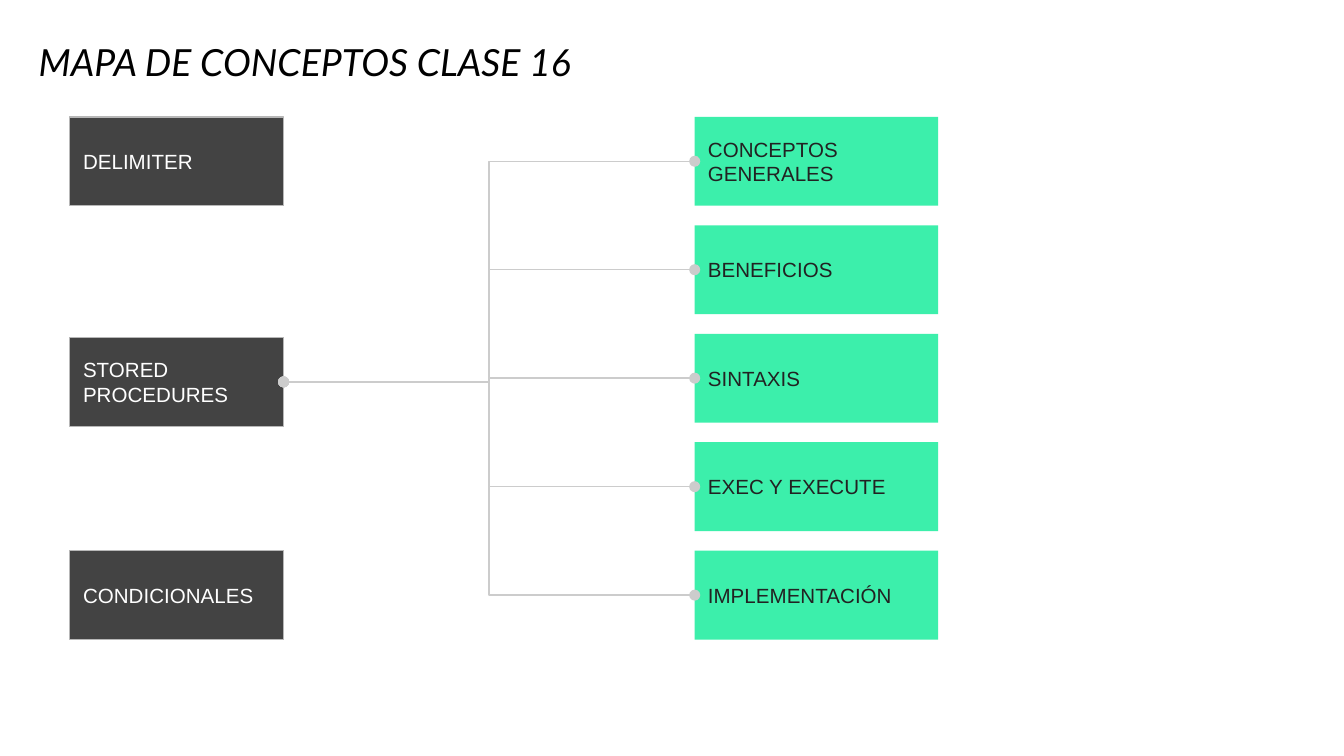
from dataclasses import dataclass
from typing import Any

from lxml import etree
from pptx import Presentation
from pptx import util as u
from pptx.dml.color import RGBColor
from pptx.enum import shapes, text
from pptx.oxml.ns import qn

BLACK = RGBColor(0x00, 0x00, 0x00)
WHITE = RGBColor(0xFF, 0xFF, 0xFF)
CHARCOAL = RGBColor(0x43, 0x43, 0x43)
SILVER = RGBColor(0xB7, 0xB7, 0xB7)
MINT = RGBColor(0x3C, 0xEF, 0xAB)
INK = RGBColor(0x22, 0x22, 0x22)
LINK_GREY = RGBColor(0xCC, 0xCC, 0xCC)

BOX_HEIGHT = 1.68
FIRST_TOP = 2.21
ROW_STEP = 2.05
LEFT_SITE, RIGHT_SITE = 1, 3


@dataclass(frozen=True)
class BoxStyle:
    left: float
    width: float
    fill: RGBColor
    ink: RGBColor
    outline: RGBColor | None = None


@dataclass(frozen=True)
class Concept:
    label: str
    top: float
    style: BoxStyle


TOPIC = BoxStyle(1.32, 4.04, CHARCOAL, WHITE, SILVER)
DETAIL = BoxStyle(13.13, 4.6, MINT, INK)

DELIMITER = Concept("DELIMITER", FIRST_TOP, TOPIC)
PROCEDURES = Concept("STORED PROCEDURES", 6.38, TOPIC)
CONDITIONALS = Concept("CONDICIONALES", FIRST_TOP + 4 * ROW_STEP, TOPIC)
DETAILS = [
    Concept(label, FIRST_TOP + row * ROW_STEP, DETAIL)
    for row, label in enumerate(
        ["CONCEPTOS GENERALES", "BENEFICIOS", "SINTAXIS", "EXEC Y EXECUTE", "IMPLEMENTACIÓN"]
    )
]


def apply_format(target: Any, values: dict[str, Any]) -> None:
    for name, value in values.items():
        setattr(target, name, value)


def write_text(box: Any, words: str, color: RGBColor, frame: dict[str, Any],
               font: dict[str, Any], paragraph: dict[str, Any]) -> None:
    apply_format(box.text_frame, {"word_wrap": True, **frame})
    para = box.text_frame.paragraphs[0]
    apply_format(para, {"alignment": text.PP_ALIGN.LEFT, **paragraph})
    span = para.add_run()
    span.text = words
    apply_format(span.font, font)
    span.font.color.rgb = color


def draw_title(page: Any, words: str) -> None:
    box = page.shapes.add_textbox(u.Cm(0.48), u.Cm(0.56), u.Cm(20.98), u.Cm(1.17))
    write_text(
        box, words, BLACK,
        {"vertical_anchor": text.MSO_ANCHOR.BOTTOM},
        {"name": "Lato", "size": u.Pt(20), "italic": True},
        {"line_spacing": 0.9},
    )


def draw_concept(page: Any, concept: Concept) -> Any:
    style = concept.style
    box = page.shapes.add_shape(
        shapes.MSO_SHAPE.RECTANGLE,
        u.Cm(style.left), u.Cm(concept.top), u.Cm(style.width), u.Cm(BOX_HEIGHT),
    )
    box.shadow.inherit = False
    box.fill.solid()
    box.fill.fore_color.rgb = style.fill
    if style.outline is None:
        box.line.fill.background()
    else:
        box.line.color.rgb = style.outline
        box.line.width = u.Pt(0.75)
    margins = {f"margin_{side}": u.Cm(0.25) for side in ("left", "top", "right", "bottom")}
    write_text(
        box, concept.label, style.ink,
        {"vertical_anchor": text.MSO_ANCHOR.MIDDLE, **margins},
        {"name": "Arial", "size": u.Pt(11)},
        {},
    )
    return box


def draw_link(page: Any, source: Any, target: Any) -> None:
    link = page.shapes.add_connector(shapes.MSO_CONNECTOR.ELBOW, 0, 0, 0, 0)
    link.begin_connect(source, RIGHT_SITE)
    link.end_connect(target, LEFT_SITE)
    link.line.color.rgb = LINK_GREY
    link.line.width = u.Pt(0.75)
    properties = link._element.spPr
    outline = properties.find(qn("a:ln"))
    for end in ("a:headEnd", "a:tailEnd"):
        etree.SubElement(outline, qn(end), type="oval")
    etree.SubElement(properties, qn("a:effectLst"))


def main() -> None:
    deck = Presentation()
    apply_format(deck, {"slide_width": u.Cm(25.4), "slide_height": u.Cm(14.29)})
    page = deck.slides.add_slide(deck.slide_layouts[6])
    draw_title(page, "MAPA DE CONCEPTOS CLASE 16")
    procedures = draw_concept(page, PROCEDURES)
    detail_boxes = [draw_concept(page, concept) for concept in DETAILS]
    for box in detail_boxes:
        draw_link(page, procedures, box)
    for concept in (DELIMITER, CONDITIONALS):
        draw_concept(page, concept)
    deck.save("out.pptx")


if __name__ == "__main__":
    main()
